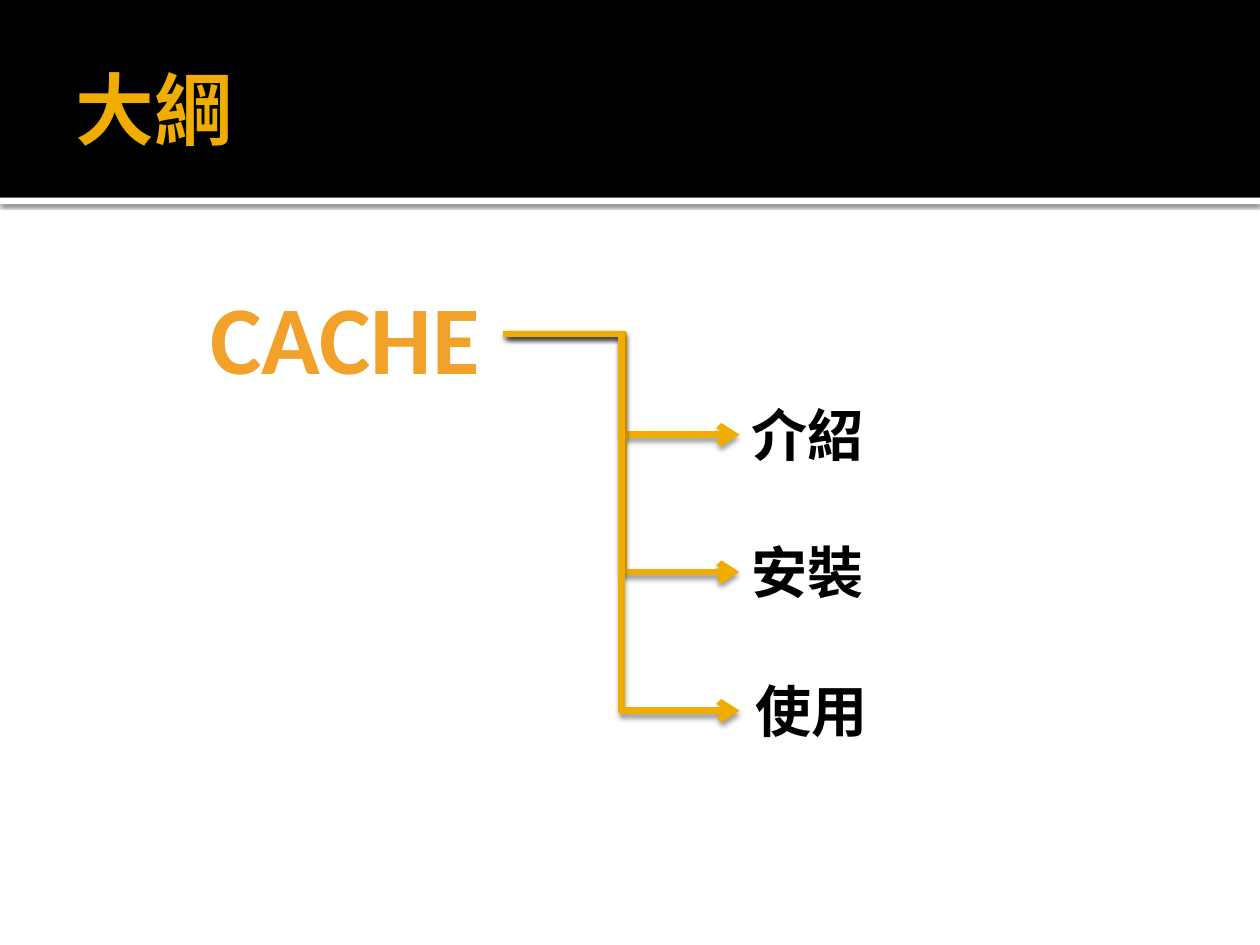
from dataclasses import dataclass

import pptx
import pptx.dml.color
import pptx.enum.shapes
import pptx.enum.text
import pptx.oxml
import pptx.oxml.ns
import pptx.util
from pptx.util import Inches

COLORS = {"gold": "F0AD00", "orange": "F2A22A", "black": "000000", "white": "FFFFFF"}
LATIN, CJK = "Calibri", "Noto Sans CJK SC"
ANCHOR = pptx.enum.text.MSO_ANCHOR


@dataclass
class Band:
    top: float
    height: float
    color: str
    shadow: bool


@dataclass
class Topic:
    text: str
    left: float
    top: float
    line_start: float


BANDS = [Band(0, 1.57, "black", False), Band(1.57, 0.05, "white", True)]
TOPICS = [
    Topic("介紹", 5.87, 3.13, 4.03),
    Topic("安裝", 5.87, 4.22, 4.03),
    Topic("使用", 5.9, 5.32, 3.99),
]
TRUNK_Y, ARROW_X, TOPIC_W, TOPIC_H = 2.65, 5.87, 1.16, 0.64


def rgb(name: str) -> pptx.dml.color.RGBColor:
    return pptx.dml.color.RGBColor.from_string(COLORS[name])


def add_xml(parent, xml: str) -> None:
    ns = pptx.oxml.ns.nsdecls("a")
    parent.append(pptx.oxml.parse_xml(xml.replace("/>", f" {ns}/>", 1) if xml.endswith("/>")
                                      else xml.replace(">", f" {ns}>", 1)))


def add_shadow(shape, alpha: int, blur: float, dist: float) -> None:
    """Cast a black shadow straight down; alpha in percent, lengths in points."""
    add_xml(shape.element.spPr, (
        f'<a:effectLst><a:outerShdw blurRad="{pptx.util.Pt(blur)}" '
        f'dist="{pptx.util.Pt(dist)}" dir="5400000" rotWithShape="0">'
        f'<a:srgbClr val="{COLORS["black"]}"><a:alpha val="{alpha * 1000}"/></a:srgbClr>'
        '</a:outerShdw></a:effectLst>'))


def place(shape, left: float, top: float, width: float, height: float) -> None:
    box = {"left": left, "top": top, "width": width, "height": height}
    for name, value in box.items():
        setattr(shape, name, Inches(value))


def write(shape, text: str, size: float, color: str, font: str, **frame) -> None:
    """Set one bold, left-aligned run and the given text frame values."""
    tf = shape.text_frame
    for name, value in {"word_wrap": True, **frame}.items():
        setattr(tf, name, value)
    p = tf.paragraphs[0]
    p.alignment = pptx.enum.text.PP_ALIGN.LEFT
    r = p.add_run()
    r.text = text
    values = {"size": pptx.util.Pt(size), "bold": True, "name": font}
    for name, value in values.items():
        setattr(r.font, name, value)
    r.font.color.rgb = rgb(color)
    add_xml(r.font._element, f'<a:ea typeface="{font}"/>')


def add_band(s, band: Band) -> None:
    """Draw a full-width band behind everything else."""
    shape = s.shapes.add_shape(pptx.enum.shapes.MSO_SHAPE.RECTANGLE, 0, Inches(band.top),
                               Inches(10), Inches(band.height))
    shape.fill.solid()
    shape.fill.fore_color.rgb = rgb(band.color)
    shape.line.fill.background()
    if band.shadow:
        add_shadow(shape, 60, 2.5, 0.8)
    else:
        shape.shadow.inherit = False
    shape.element.getparent().insert(2, shape.element)


def add_topic(s, topic: Topic) -> None:
    box = s.shapes.add_textbox(Inches(topic.left), Inches(topic.top),
                               Inches(TOPIC_W), Inches(TOPIC_H))
    write(box, topic.text, 32, "black", CJK,
          auto_size=pptx.enum.text.MSO_AUTO_SIZE.SHAPE_TO_FIT_TEXT)


def add_branch(s, topic: Topic) -> None:
    """Lead an elbow arrow from the subject to the middle of a topic."""
    line = s.shapes.add_connector(
        pptx.enum.shapes.MSO_CONNECTOR.ELBOW, Inches(topic.line_start), Inches(TRUNK_Y),
        Inches(ARROW_X), Inches(topic.top + TOPIC_H / 2))
    line.line.color.rgb = rgb("gold")
    line.line.width = pptx.util.Pt(3.82)
    add_xml(line.line._get_or_add_ln(), '<a:tailEnd type="arrow"/>')
    add_shadow(line, 38, 3.1, 2)


def main() -> None:
    prs = pptx.Presentation()
    prs.slide_width, prs.slide_height = Inches(10), Inches(7.5)
    s = prs.slides.add_slide(prs.slide_layouts[1])

    title, body = s.shapes.title, s.placeholders[1]
    no_fit = pptx.enum.text.MSO_AUTO_SIZE.NONE
    place(title, 0.5, 0.17, 9, 1.37)
    write(title, "大綱", 45, "gold", CJK, auto_size=no_fit,
          vertical_anchor=ANCHOR.MIDDLE, margin_right=Inches(0.05))
    place(body, 1.61, 2.1, 2.41, 1.11)
    write(body, "CACHE", 55.5, "orange", LATIN, auto_size=no_fit,
          vertical_anchor=ANCHOR.TOP, margin_left=Inches(0.06), margin_top=Inches(0.1))
    p = body.text_frame.paragraphs[0]
    p.space_before = pptx.util.Pt(0)
    pPr = p._p.get_or_add_pPr()
    for name in ("marL", "indent"):
        pPr.set(name, "0")
    add_xml(pPr, "<a:buNone/>")

    for band in reversed(BANDS):
        add_band(s, band)
    for topic in TOPICS:
        add_topic(s, topic)
    for topic in TOPICS:
        add_branch(s, topic)
    prs.save("out.pptx")


if __name__ == "__main__":
    main()
